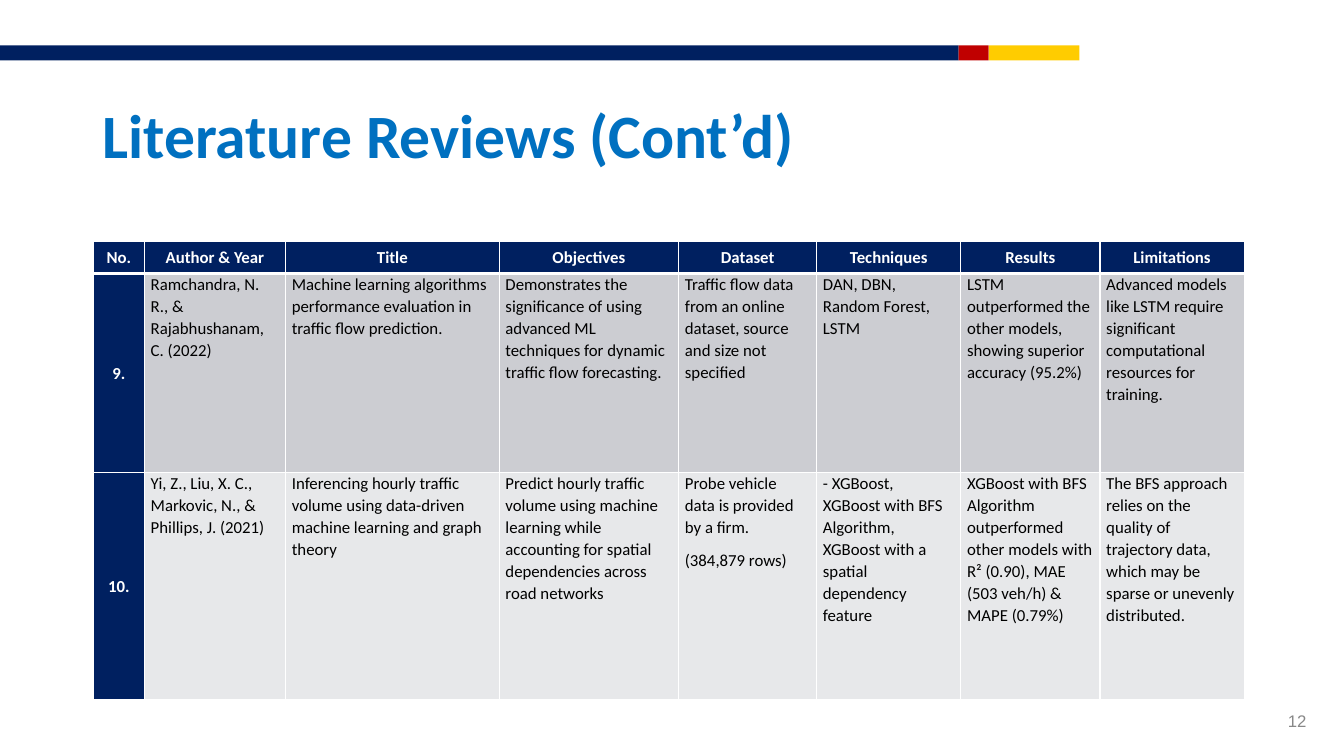
"""Build the literature review slide with its table of two studies."""
from lxml.etree import SubElement
from pptx import Presentation
from pptx.dml.color import RGBColor
from pptx.enum.shapes import MSO_SHAPE
from pptx.enum.text import MSO_ANCHOR, MSO_AUTO_SIZE, PP_ALIGN
from pptx.oxml.ns import qn
from pptx.util import Pt

THEME = {
    "navy": "002060", "red": "C00000", "gold": "FFCC00", "blue": "0070C0",
    "white": "FFFFFF", "black": "000000", "gray": "888888",
    "bands": ["CCCDD2", "E7E8EA"],
    "heading": {"name": "Calibri", "size": Pt(44), "bold": True},
    "label": {"name": "Calibri", "size": Pt(12), "bold": True},
    "entry": {"name": "Calibri", "size": Pt(12), "bold": False},
    "number": {"name": "Arial", "size": Pt(12), "bold": False},
}
CELL_FORMAT = {"margin_left": Pt(4.5), "margin_right": Pt(4.5),
               "margin_top": 0, "margin_bottom": 0}
PARA_FORMAT = {"line_spacing": 1.07, "space_before": Pt(0), "space_after": Pt(8)}
COLUMN_WIDTHS = [36.7, 100.8, 152.6, 128.2, 98.6, 103, 99.4, 103]
ROW_HEIGHTS = [23, 142.2, 162.4]
STUDIES = [
    ["No.", "Author & Year", "Title", "Objectives", "Dataset", "Techniques",
     "Results", "Limitations"],
    ["9.",
     "Ramchandra, N. R., & Rajabhushanam, C. (2022)",
     "Machine learning algorithms performance evaluation in traffic flow prediction.",
     "Demonstrates the significance of using advanced ML techniques for dynamic "
     "traffic flow forecasting.",
     "Traffic flow data from an online dataset, source and size not specified",
     "DAN, DBN, Random Forest, LSTM",
     "LSTM outperformed the other models, showing superior accuracy (95.2%)",
     "Advanced models like LSTM require significant computational resources for "
     "training."],
    ["10.",
     "Yi, Z., Liu, X. C., Markovic, N., & Phillips, J. (2021)",
     "Inferencing hourly traffic volume using data-driven machine learning and "
     "graph theory",
     "Predict hourly traffic volume using machine learning while accounting for "
     "spatial dependencies across road networks",
     "Probe vehicle data is provided by a firm.\n(384,879 rows)",
     "- XGBoost, XGBoost with BFS Algorithm, XGBoost with a spatial dependency "
     "feature",
     "XGBoost with BFS Algorithm outperformed other models with R² (0.90), MAE "
     "(503 veh/h) & MAPE (0.79%)",
     "The BFS approach relies on the quality of trajectory data, which may be "
     "sparse or unevenly distributed."],
]


def set_format(target, values, color=None):
    """Set each format value on the target, then its font colour."""
    for name, value in values.items():
        setattr(target, name, value)
    if color:
        target.color.rgb = RGBColor.from_string(THEME[color])


def add_border(cell, side, width):
    """Draw a white border on one side of a cell."""
    line = SubElement(cell._tc.get_or_add_tcPr(), qn(f"a:ln{side}"), w=str(Pt(width)))
    fill = SubElement(line, qn("a:solidFill"))
    SubElement(fill, qn("a:srgbClr"), val=THEME["white"])


deck = Presentation()
set_format(deck, {"slide_width": Pt(960), "slide_height": Pt(540)})
page = deck.slides.add_slide(deck.slide_layouts[5])

for color, left, width in [("navy", 0, 684.7), ("red", 684.7, 21.6), ("gold", 706.3, 64.8)]:
    stripe = page.shapes.add_shape(
        MSO_SHAPE.RECTANGLE, Pt(left), Pt(32.4), Pt(width), Pt(10.8))
    stripe.shadow.inherit = False
    stripe.fill.solid()
    stripe.fill.fore_color.rgb = RGBColor.from_string(THEME[color])
    stripe.line.fill.background()

title = page.shapes.title
set_format(title, {"left": Pt(66), "top": Pt(46.8), "width": Pt(828), "height": Pt(104.4)})
title.text_frame.text = "Literature Reviews (Cont’d)"
set_format(title.text_frame, {"auto_size": MSO_AUTO_SIZE.NONE, "word_wrap": True,
                              "vertical_anchor": MSO_ANCHOR.MIDDLE})
heading = title.text_frame.paragraphs[0]
set_format(heading, {"alignment": PP_ALIGN.LEFT, "line_spacing": 0.9})
set_format(heading.font, THEME["heading"], "blue")

table = page.shapes.add_table(
    len(ROW_HEIGHTS), len(COLUMN_WIDTHS), Pt(66.5), Pt(172.4),
    Pt(sum(COLUMN_WIDTHS)), Pt(sum(ROW_HEIGHTS))).table
set_format(table, {"first_row": False, "horz_banding": False})
for column, width in zip(table.columns, COLUMN_WIDTHS):
    column.width = Pt(width)
for row, height in zip(table.rows, ROW_HEIGHTS):
    row.height = Pt(height)

for row_index, study in enumerate(STUDIES):
    for column_index, text in enumerate(study):
        cell = table.cell(row_index, column_index)
        is_label = row_index == 0 or column_index == 0
        cell.text = text
        set_format(cell, CELL_FORMAT)
        cell.vertical_anchor = MSO_ANCHOR.MIDDLE if is_label else MSO_ANCHOR.TOP
        for side in "LRTB":
            under_header = (row_index, side) in [(0, "B"), (1, "T")]
            add_border(cell, side, 3 if under_header else 1)
        cell.fill.solid()
        fill = THEME["navy"] if is_label else THEME["bands"][row_index - 1]
        cell.fill.fore_color.rgb = RGBColor.from_string(fill)
        for para in cell.text_frame.paragraphs:
            set_format(para, PARA_FORMAT)
            para.alignment = PP_ALIGN.CENTER if is_label else PP_ALIGN.LEFT
            set_format(para.font, THEME["label" if is_label else "entry"],
                       "white" if is_label else "black")

number_box = page.shapes.add_textbox(Pt(716.4), Pt(500.4), Pt(224), Pt(28.8))
set_format(number_box.text_frame, {"word_wrap": True, "vertical_anchor": MSO_ANCHOR.MIDDLE})
number = number_box.text_frame.paragraphs[0]
number.text = "12"
number.alignment = PP_ALIGN.RIGHT
set_format(number.font, THEME["number"], "gray")

deck.save("out.pptx")
